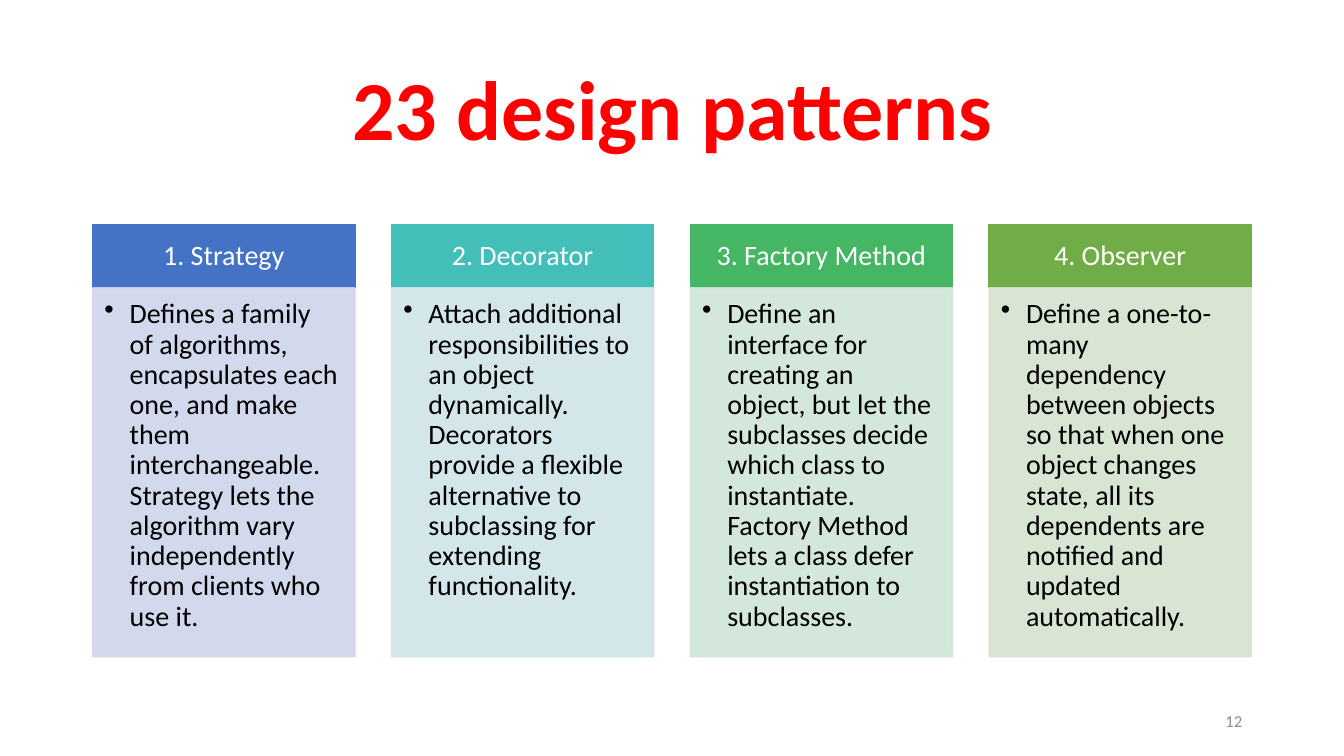
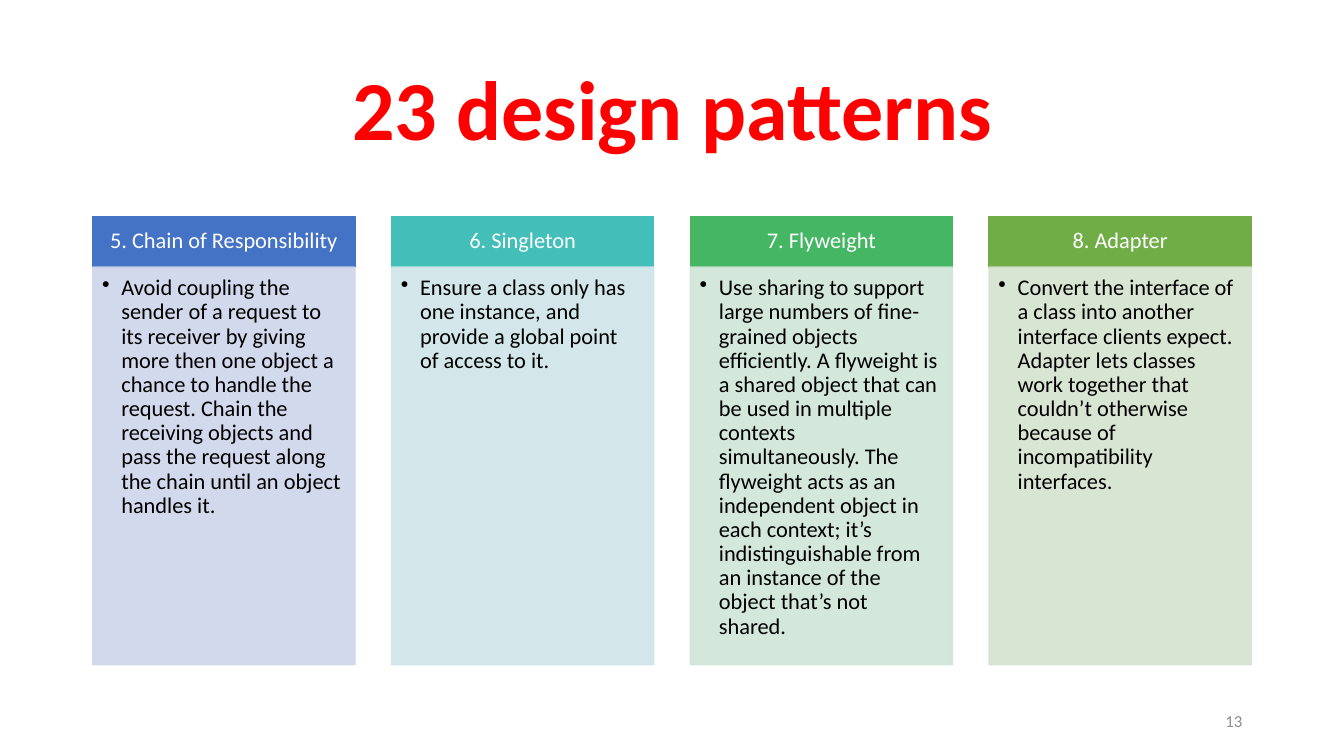
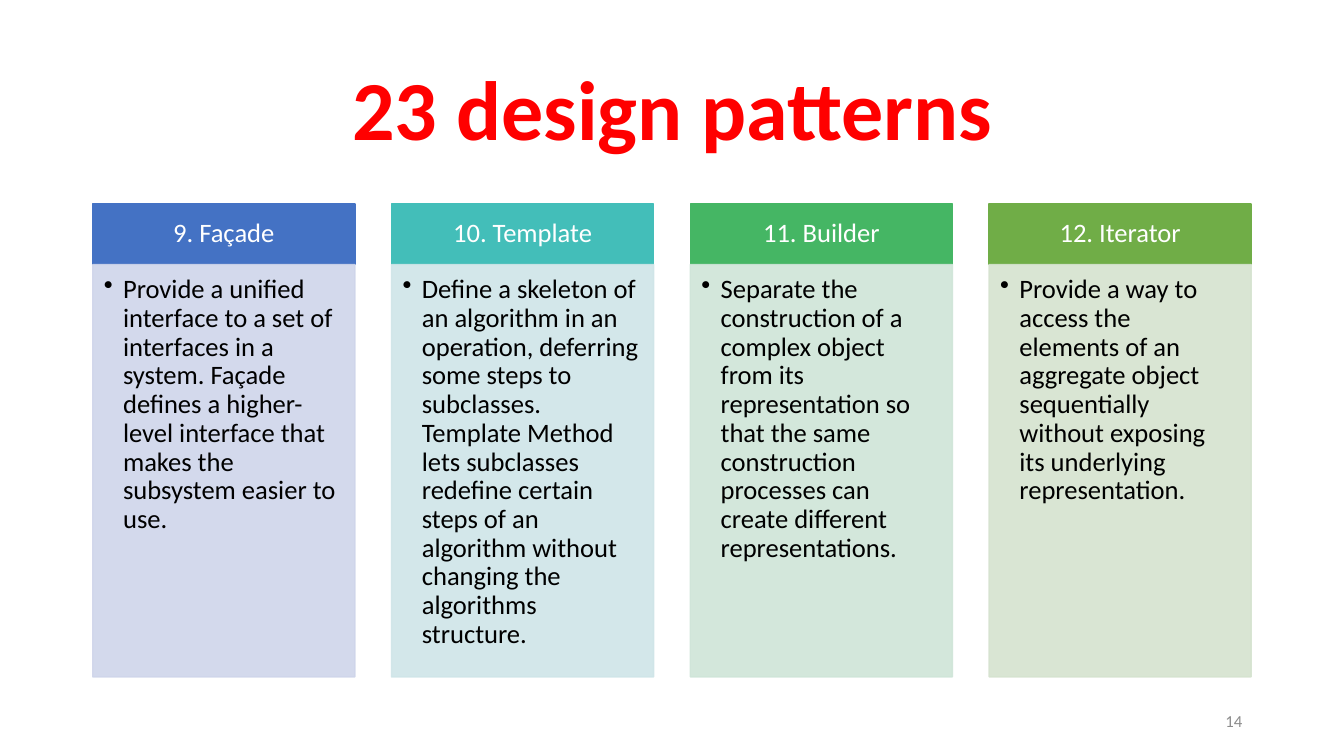
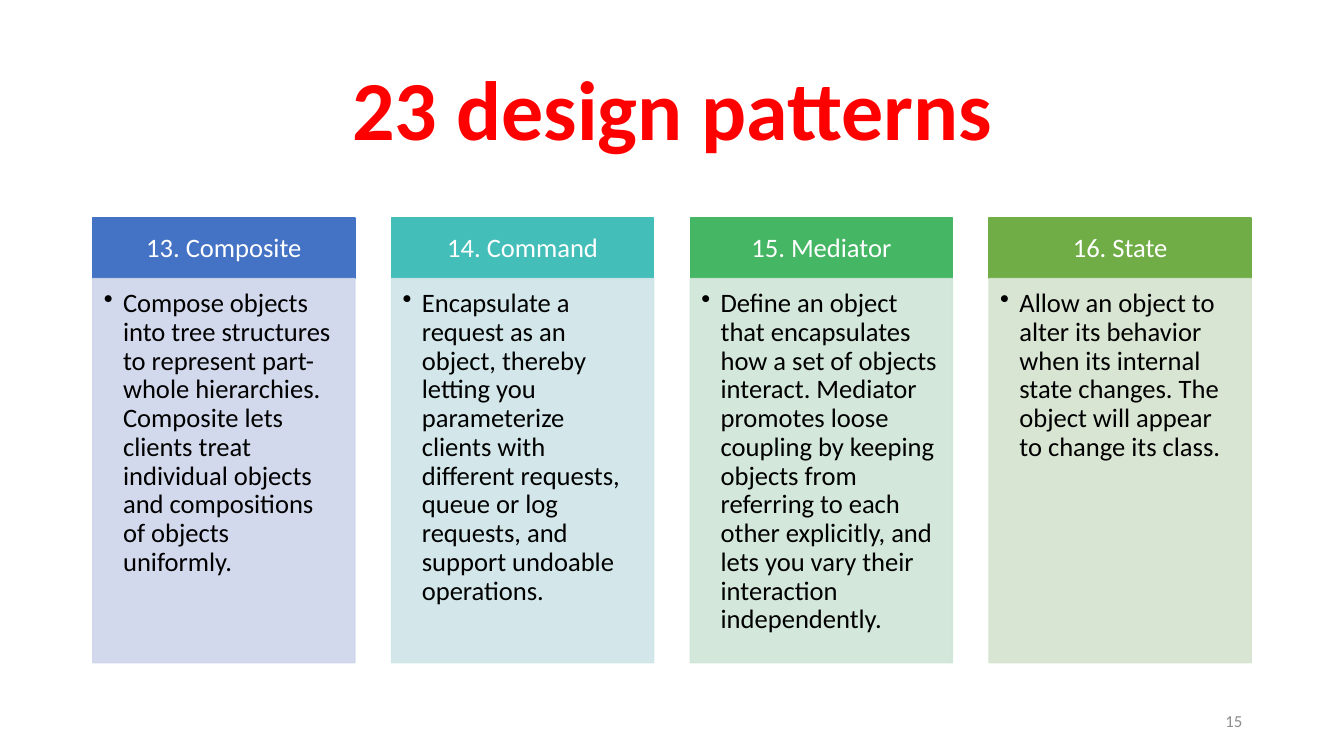
import dataclasses

import lxml.etree
import pptx
import pptx.dml.color
import pptx.enum.shapes
import pptx.enum.text
import pptx.oxml.ns
import pptx.util

Inches = pptx.util.Inches
Align = pptx.enum.text.PP_ALIGN
Anchor = pptx.enum.text.MSO_ANCHOR


@dataclasses.dataclass(frozen=True)
class Theme:
    """Colours, type sizes and measures shared by every slide."""

    font: str = "Calibri"
    title_color: str = "FF0000"
    header_text: str = "FFFFFF"
    body_text: str = "000000"
    number_color: str = "8C8C8C"
    column_colors: tuple = (
        ("4472C4", "CFD5EA"),
        ("43BEB9", "CFE5E8"),
        ("45B664", "CFE5D8"),
        ("70AD47", "D5E3CF"),
    )
    body_opacity: int = 90
    title_size: int = 60
    number_size: int = 12
    line_spacing: float = 0.9
    left: float = 0.92
    width: float = 11.49
    columns_middle: float = 4.37
    column_width: float = 2.6


THEME = Theme()
TITLE = "23 design patterns"
FIRST_NUMBER = 12


@dataclasses.dataclass(frozen=True)
class PatternSlide:
    """Text size, column height, bullet indent and patterns of one slide."""

    size: int
    height: float
    indent: float
    patterns: tuple


SLIDES = (
    PatternSlide(20, 4.29, 0.25, (
        ("Strategy",
         "Defines a family of algorithms, encapsulates each one, and make them "
         "interchangeable. Strategy lets the algorithm vary independently from "
         "clients who use it."),
        ("Decorator",
         "Attach additional responsibilities to an object dynamically. Decorators "
         "provide a flexible alternative to subclassing for extending functionality."),
        ("Factory Method",
         "Define an interface for creating an object, but let the subclasses decide "
         "which class to instantiate. Factory Method lets a class defer "
         "instantiation to subclasses."),
        ("Observer",
         "Define a one-to-many dependency between objects so that when one object "
         "changes state, all its dependents are notified and updated automatically."),
    )),
    PatternSlide(16, 4.45, 0.19, (
        ("Chain of Responsibility",
         "Avoid coupling the sender of a request to its receiver by giving more then "
         "one object a chance to handle the request. Chain the receiving objects and "
         "pass the request along the chain until an object handles it."),
        ("Singleton",
         "Ensure a class only has one instance, and provide a global point of access "
         "to it."),
        ("Flyweight",
         "Use sharing to support large numbers of fine-grained objects efficiently. A "
         "flyweight is a shared object that can be used in multiple contexts "
         "simultaneously. The flyweight acts as an independent object in each "
         "context; it’s indistinguishable from an instance of the object that’s not "
         "shared."),
        ("Adapter",
         "Convert the interface of a class into another interface clients expect. "
         "Adapter lets classes work together that couldn’t otherwise because of "
         "incompatibility interfaces."),
    )),
    PatternSlide(19, 4.69, 0.19, (
        ("Façade",
         "Provide a unified interface to a set of interfaces in a system. Façade "
         "defines a higher-level interface that makes the subsystem easier to use."),
        ("Template",
         "Define a skeleton of an algorithm in an operation, deferring some steps to "
         "subclasses. Template Method lets subclasses redefine certain steps of an "
         "algorithm without changing the algorithms structure."),
        ("Builder",
         "Separate the construction of a complex object from its representation so "
         "that the same construction processes can create different representations."),
        ("Iterator",
         "Provide a way to access the elements of an aggregate object sequentially "
         "without exposing its underlying representation."),
    )),
    PatternSlide(19, 4.41, 0.19, (
        ("Composite",
         "Compose objects into tree structures to represent part-whole hierarchies. "
         "Composite lets clients treat individual objects and compositions of objects "
         "uniformly."),
        ("Command",
         "Encapsulate a request as an object, thereby letting you parameterize clients "
         "with different requests, queue or log requests, and support undoable "
         "operations."),
        ("Mediator",
         "Define an object that encapsulates how a set of objects interact. Mediator "
         "promotes loose coupling by keeping objects from referring to each other "
         "explicitly, and lets you vary their interaction independently."),
        ("State",
         "Allow an object to alter its behavior when its internal state changes. The "
         "object will appear to change its class."),
    )),
)


def rgb(color):
    """Return the colour object of a hexadecimal string."""
    return pptx.dml.color.RGBColor.from_string(color)


def write(shape, text, size, color, align, anchor, bold=False):
    """Set the one paragraph of a shape and return it formatted."""
    frame = shape.text_frame
    frame.text = text
    frame.word_wrap = True
    frame.auto_size = pptx.enum.text.MSO_AUTO_SIZE.NONE
    frame.vertical_anchor = anchor
    paragraph = frame.paragraphs[0]
    paragraph.alignment = align
    paragraph.line_spacing = THEME.line_spacing
    font = paragraph.runs[0].font
    font.name = THEME.font
    font.size = pptx.util.Pt(size)
    font.bold = bold
    font.color.rgb = rgb(color)
    return paragraph


def set_insets(shape, left, top, right, bottom):
    """Set the text margins of a shape in inches."""
    frame = shape.text_frame
    frame.margin_left, frame.margin_top = Inches(left), Inches(top)
    frame.margin_right, frame.margin_bottom = Inches(right), Inches(bottom)


def add_panel(slide, left, top, width, height, color):
    """Add a rectangle whose fill and outline share one colour."""
    shape = slide.shapes.add_shape(
        pptx.enum.shapes.MSO_SHAPE.RECTANGLE,
        Inches(left), Inches(top), Inches(width), Inches(height))
    shape.shadow.inherit = False
    shape.fill.solid()
    shape.fill.fore_color.rgb = rgb(color)
    shape.line.color.rgb = rgb(color)
    shape.line.width = pptx.util.Pt(1)
    return shape


def set_opacity(shape, percent):
    """Make the fill and outline of a shape partly transparent."""
    qn = pptx.oxml.ns.qn
    for color in shape.element.spPr.iter(qn("a:srgbClr")):
        lxml.etree.SubElement(color, qn("a:alpha")).set("val", str(percent * 1000))


def add_bullet(paragraph, indent):
    """Give a paragraph a round bullet with a hanging indent."""
    properties = paragraph._p.get_or_add_pPr()
    properties.set("marL", str(Inches(indent)))
    properties.set("indent", str(-Inches(indent)))
    bullet = lxml.etree.SubElement(properties, pptx.oxml.ns.qn("a:buChar"))
    bullet.set("char", "•")


def add_column(slide, left, top, width, content, heading, description, colors):
    """Place one pattern: a heading band above its description."""
    em = content.size / 72
    band = 2.27 * em
    header_color, body_color = colors
    header = add_panel(slide, left, top, width, band, header_color)
    set_insets(header, 0.57 * em, 0.32 * em, 0.57 * em, 0.32 * em)
    write(header, heading, content.size, THEME.header_text, Align.CENTER, Anchor.MIDDLE)

    body = add_panel(slide, left, top + band, width, content.height - band, body_color)
    set_opacity(body, THEME.body_opacity)
    set_insets(body, 0.42 * em, 0.42 * em, 0.57 * em, 0.63 * em)
    paragraph = write(body, description, content.size, THEME.body_text,
                      Align.LEFT, Anchor.TOP)
    add_bullet(paragraph, content.indent)


def add_columns(slide, left, top, width, content, first_pattern):
    """Spread the patterns of a slide evenly over the given width."""
    step = (width - THEME.column_width) / (len(content.patterns) - 1)
    columns = zip(content.patterns, THEME.column_colors)
    for index, ((name, description), colors) in enumerate(columns):
        add_column(slide, left + index * step, top, THEME.column_width, content,
                   f"{first_pattern + index}. {name}", description, colors)


def add_title(slide, left, top, width, height):
    """Move and format the title placeholder."""
    title = slide.shapes.title
    title.left, title.top = Inches(left), Inches(top)
    title.width, title.height = Inches(width), Inches(height)
    write(title, TITLE, THEME.title_size, THEME.title_color,
          Align.CENTER, Anchor.MIDDLE, bold=True)


def add_number(slide, left, top, width, height, number):
    """Add the slide number at the lower right."""
    box = slide.shapes.add_textbox(
        Inches(left), Inches(top), Inches(width), Inches(height))
    paragraph = write(box, str(number), THEME.number_size, THEME.number_color,
                      Align.RIGHT, Anchor.MIDDLE)
    paragraph.line_spacing = 1.0


def add_pattern_slide(presentation, content, number, first_pattern):
    """Add one slide with title, pattern columns and number."""
    slide = presentation.slides.add_slide(presentation.slide_layouts[5])
    add_title(slide, THEME.left, 0.4, 11.5, 1.45)
    top = THEME.columns_middle - content.height / 2
    add_columns(slide, THEME.left, top, THEME.width, content, first_pattern)
    add_number(slide, 9.42, 6.95, 3, 0.4, number)


def main():
    """Build and save the presentation."""
    presentation = pptx.Presentation()
    presentation.slide_width = Inches(13.33)
    presentation.slide_height = Inches(7.5)
    first_pattern = 1
    for number, content in enumerate(SLIDES, FIRST_NUMBER):
        add_pattern_slide(presentation, content, number, first_pattern)
        first_pattern += len(content.patterns)
    presentation.save("out.pptx")


if __name__ == "__main__":
    main()
